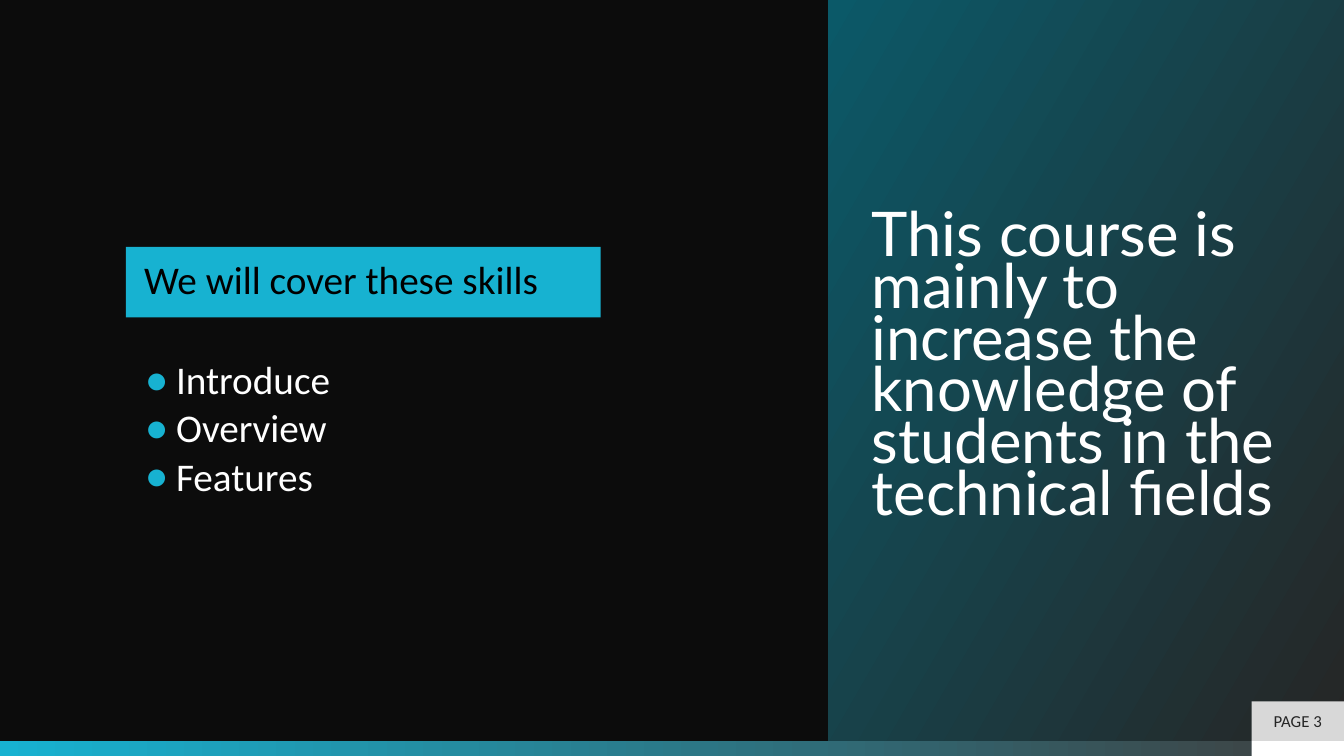
import pptx
import pptx.dml.color
import pptx.enum.shapes
import pptx.enum.text
import pptx.oxml
import pptx.oxml.ns
import pptx.util

RGB = pptx.dml.color.RGBColor
BLACK = RGB(0x00, 0x00, 0x00)
NIGHT = RGB(0x0C, 0x0C, 0x0C)
COAL = RGB(0x26, 0x26, 0x26)
GREY = RGB(0x3F, 0x3F, 0x3F)
SILVER = RGB(0xD8, 0xD8, 0xD8)
WHITE = RGB(0xFF, 0xFF, 0xFF)
CYAN = RGB(0x17, 0xB2, 0xD1)
TEAL = RGB(0x0B, 0x59, 0x68)

ALIGN = pptx.enum.text.PP_ALIGN
ANCHOR = pptx.enum.text.MSO_ANCHOR
COLS, ROWS = 160, 90
EDGES = ("margin_left", "margin_top", "margin_right", "margin_bottom")


def apply(target, style):
    for name, value in style.items():
        setattr(target, name, value)


class Deck:
    font = "Calibri"

    def __init__(self, width, height):
        self.show = pptx.Presentation()
        apply(self.show, {"slide_width": pptx.util.Inches(width),
                          "slide_height": pptx.util.Inches(height)})
        self.slide = self.show.slides.add_slide(self.show.slide_layouts[1])
        fill = self.slide.background.fill
        fill.solid()
        fill.fore_color.rgb = NIGHT

    def grid(self, box):
        wide = self.show.slide_width / COLS
        high = self.show.slide_height / ROWS
        return [round(n * unit) for n, unit in zip(box, (wide, high) * 2)]

    def place(self, shape, box):
        apply(shape, dict(zip(("left", "top", "width", "height"), self.grid(box))))

    def paint(self, shape, color):
        shape.fill.solid()
        shape.fill.fore_color.rgb = color

    def blend(self, shape, start, end, angle):
        shape.fill.gradient()
        shape.fill.gradient_angle = angle
        for stop, color, spot in zip(shape.fill.gradient_stops, (start, end), (0, 1)):
            stop.position = spot
            stop.color.rgb = color

    def block(self, box):
        shape = self.slide.shapes.add_shape(
            pptx.enum.shapes.MSO_SHAPE.RECTANGLE, *self.grid(box))
        shape.shadow.inherit = False
        shape.line.fill.background()
        return shape

    def letter(self, shape, lines, size, color, inset, anchor=ANCHOR.MIDDLE,
               align=ALIGN.LEFT, pitch=0.9, gap=0, font=None):
        frame = shape.text_frame
        frame.text = "\n".join(lines)
        apply(frame, {"word_wrap": True, "vertical_anchor": anchor,
                      "auto_size": pptx.enum.text.MSO_AUTO_SIZE.NONE})
        apply(frame, {edge: pptx.util.Inches(n) for edge, n in zip(EDGES, inset)})
        for index, para in enumerate(frame.paragraphs):
            apply(para, {"alignment": align, "line_spacing": pitch,
                         "space_before": pptx.util.Pt(gap if index else 0)})
            for run in para.runs:
                apply(run.font, {"name": font or self.font, "size": pptx.util.Pt(size)})
                run.font.color.rgb = color

    def title(self, box, text):
        shape = self.slide.shapes.title
        self.place(shape, box)
        self.blend(shape, COAL, TEAL, 150)
        self.letter(shape, [text], 44, WHITE, (0.43, 0.05, 0.43, 0.05),
                    pitch=0.7, font="Lato")

    def list(self, box, items):
        shape = self.slide.placeholders[1]
        self.place(shape, box)
        self.letter(shape, items, 28, WHITE, (0.52, 1.48, 0.52, 0.22),
                    anchor=ANCHOR.TOP, gap=4.2)
        space = pptx.oxml.ns.nsdecls("a")
        indent = pptx.util.Inches(0.31)
        for para in shape.text_frame.paragraphs:
            props = para._p.get_or_add_pPr()
            props.set("marL", str(indent))
            props.set("indent", str(-indent))
            for mark in (f'<a:buClr {space}><a:srgbClr val="{CYAN}"/></a:buClr>',
                         f'<a:buChar {space} char="●"/>'):
                props.append(pptx.oxml.parse_xml(mark))

    def label(self, box, text, size, ink, color, inset, **style):
        shape = self.block(box)
        self.paint(shape, color)
        self.letter(shape, [text], size, ink, inset, **style)


def main():
    deck = Deck(13.33, 7.5)
    floor, split, edge = 88.2, 98.6, 149
    deck.title((split, 0, COLS - split, floor),
               "This course is mainly to increase the knowledge of "
               "students in the technical fields")
    deck.list((11, 25.2, 80.8, 37.6), ["Introduce", "Overview", "Features"])
    deck.blend(deck.block((0, floor, COLS, ROWS - floor)), CYAN, GREY, 0)
    deck.paint(deck.block((edge, floor, COLS - edge, ROWS - floor)), WHITE)
    deck.label((edge, 83.5, COLS - edge, floor - 83.5), "PAGE 3", 12, COAL, SILVER,
               (0.1, 0.05, 0.1, 0.05), align=ALIGN.CENTER, pitch=1)
    deck.label((15, 29.4, 56.5, 8.4), "We will cover these skills", 28, BLACK, CYAN,
               (0.18, 0, 0.18, 0))
    deck.show.save("out.pptx")


if __name__ == "__main__":
    main()
